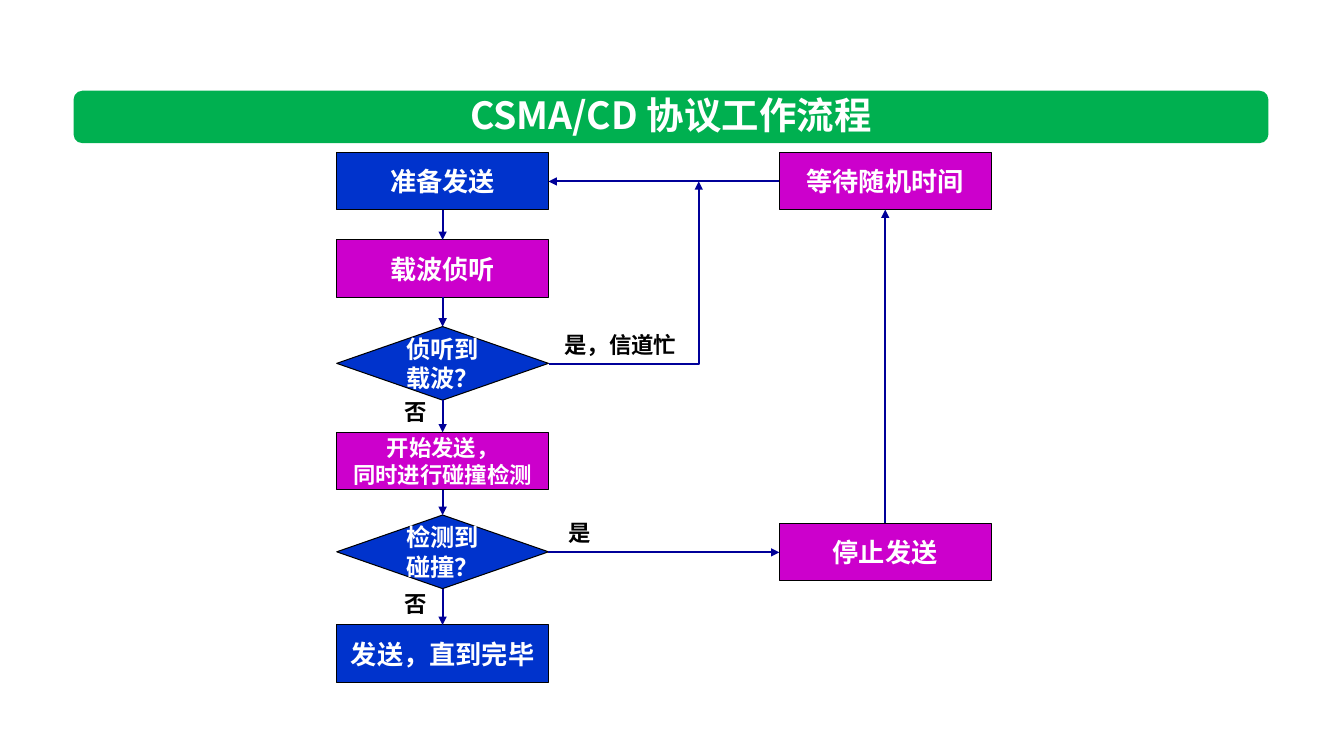
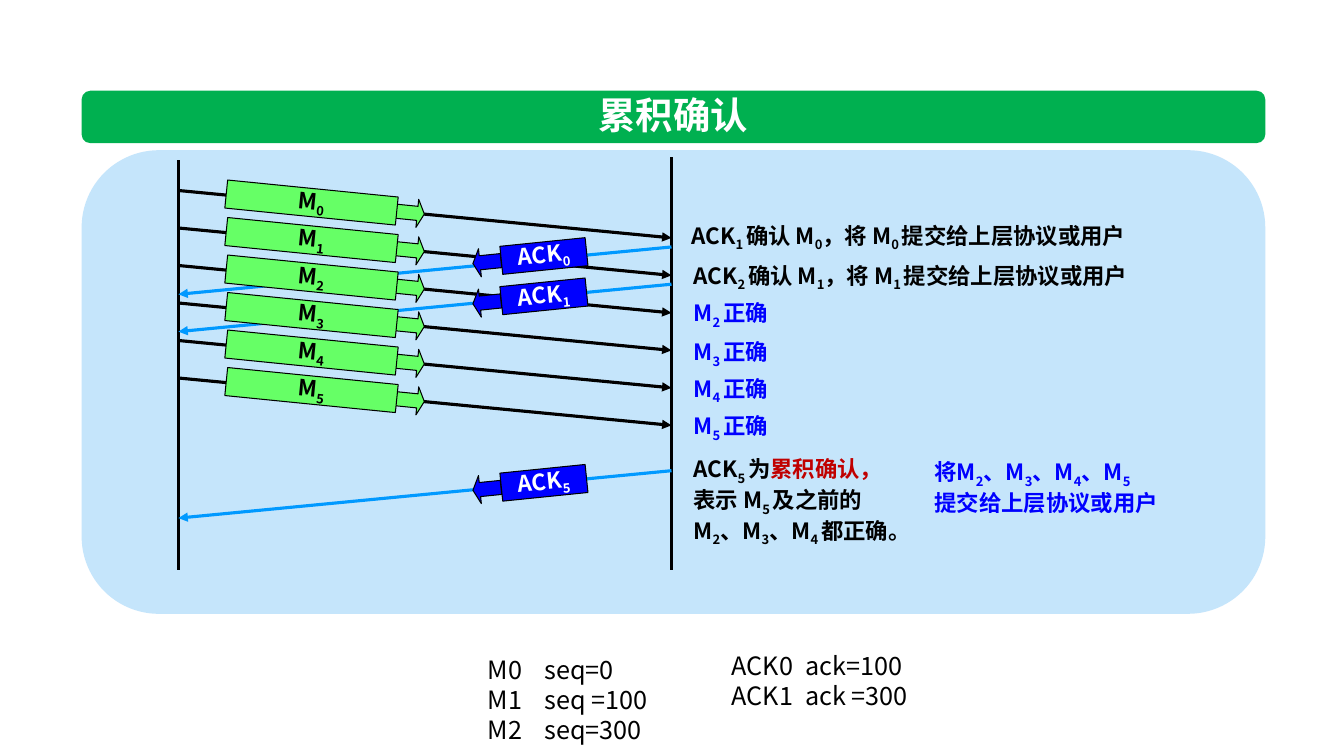
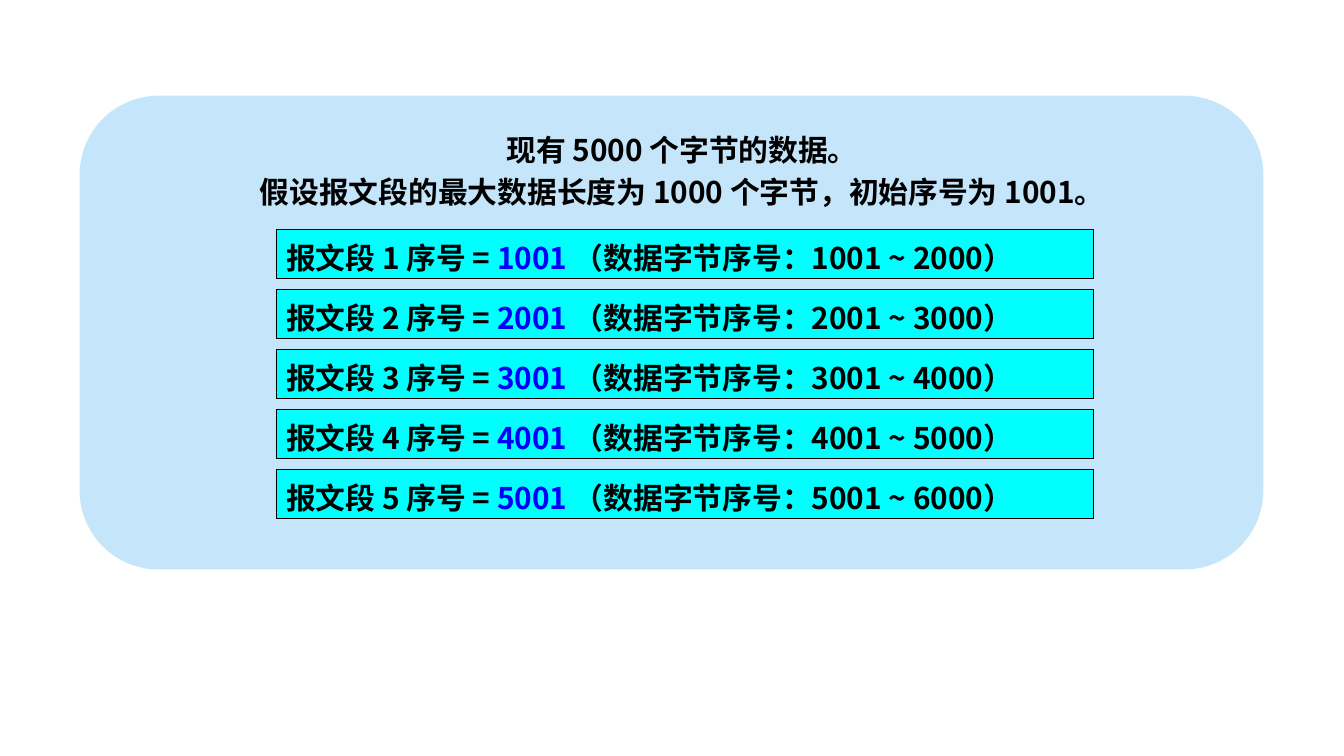
import dataclasses
import typing

import pptx
import pptx.dml.color
import pptx.enum.shapes
import pptx.enum.text
import pptx.oxml.ns
import pptx.oxml.xmlchemy
import pptx.shapes.autoshape
import pptx.shapes.connector
import pptx.slide
import pptx.text.text
import pptx.util
import lxml.etree

Inches = pptx.util.Inches
SHAPE = pptx.enum.shapes.MSO_SHAPE
CONNECTOR = pptx.enum.shapes.MSO_CONNECTOR
ALIGN = pptx.enum.text.PP_ALIGN
ANCHOR = pptx.enum.text.MSO_ANCHOR
qn = pptx.oxml.ns.qn

FONT = "Noto Sans CJK SC"
WHITE, BLACK = "FFFFFF", "000000"
GREEN, PANEL = "00B050", "C5E5FB"
BLUE, PURPLE, NAVY = "0033CC", "CC00CC", "000099"
LIME, PURE_BLUE, SKY = "66FF66", "0000FF", "0099FF"
CYAN, RED = "00FFFF", "C00000"


class Box(typing.NamedTuple):
    left: float
    top: float
    width: float
    height: float

    def lengths(self) -> list[pptx.util.Length]:
        return [Inches(value) for value in self]


class Span(typing.NamedTuple):
    text: str
    color: str


@dataclasses.dataclass(frozen=True)
class Style:
    size: float = 16
    color: str = BLACK
    bold: bool = True
    align: ALIGN = ALIGN.LEFT
    line_points: float | None = None
    tab: float | None = None


class Step(typing.NamedTuple):
    kind: SHAPE
    box: Box
    fill: str
    lines: list[str]
    size: float


class Packet(typing.NamedTuple):
    is_ack: bool
    number: int
    top: float
    lift: float = 0


Paragraph = str | list[Span]

TITLE = Style(26.7, WHITE, align=ALIGN.CENTER)
LABEL = Style()
NOTE = Style(color=PURE_BLUE)
SEGMENT = Style(21.3, line_points=29.3)


def rgb(color: str) -> pptx.dml.color.RGBColor:
    return pptx.dml.color.RGBColor.from_string(color)


def add_run(p: pptx.text.text._Paragraph, text: str, color: str, style: Style, subscript: bool) -> None:
    r = p.add_run()
    r.text = text
    r.font.size = pptx.util.Pt(style.size)
    r.font.bold = style.bold
    r.font.color.rgb = rgb(color)
    r.font.name = FONT
    props = r._r.get_or_add_rPr()
    lxml.etree.SubElement(props, qn("a:ea")).set("typeface", FONT)
    if subscript:
        props.set("baseline", "-25000")


def write(tf: pptx.text.text.TextFrame, paragraphs: list[Paragraph], style: Style) -> None:
    for index, paragraph in enumerate(paragraphs):
        p = tf.add_paragraph() if index else tf.paragraphs[0]
        p.alignment = style.align
        if style.line_points:
            p.line_spacing = pptx.util.Pt(style.line_points)
        if style.tab:
            tabs = lxml.etree.SubElement(p._p.get_or_add_pPr(), qn("a:tabLst"))
            tab = lxml.etree.SubElement(tabs, qn("a:tab"))
            tab.set("pos", str(Inches(style.tab)))
            tab.set("algn", "l")
        spans = [Span(paragraph, style.color)] if isinstance(paragraph, str) else paragraph
        for span in spans:
            for part, text in enumerate(span.text.replace("]", "[").split("[")):
                if text:
                    add_run(p, text, span.color, style, part % 2 == 1)


def add_text(s: pptx.slide.Slide, box: Box, paragraphs: list[Paragraph], style: Style, wrap: bool = False) -> None:
    tf = s.shapes.add_textbox(*box.lengths()).text_frame
    tf.word_wrap = wrap
    tf.auto_size = pptx.enum.text.MSO_AUTO_SIZE.SHAPE_TO_FIT_TEXT
    write(tf, paragraphs, style)


def add_shape(
    s: pptx.slide.Slide, kind: SHAPE, box: Box, fill: str, outlined: bool = True, rotation: float = 0
) -> pptx.shapes.autoshape.Shape:
    sp = s.shapes.add_shape(kind, *box.lengths())
    sp.shadow.inherit = False
    sp.rotation = rotation
    sp.fill.solid()
    sp.fill.fore_color.rgb = rgb(fill)
    if outlined:
        sp.line.color.rgb = rgb(BLACK)
        sp.line.width = pptx.util.Pt(0.75)
    else:
        sp.line.fill.background()
    return sp


def add_line(
    s: pptx.slide.Slide,
    start: tuple[float, float],
    end: tuple[float, float],
    color: str,
    points: float,
    arrow: bool = True,
    kind: CONNECTOR = CONNECTOR.STRAIGHT,
) -> pptx.shapes.connector.Connector:
    line = s.shapes.add_connector(kind, *(Inches(value) for value in start + end))
    line.line.color.rgb = rgb(color)
    line.line.width = pptx.util.Pt(points)
    props = line._element.spPr
    if arrow:
        lxml.etree.SubElement(props.find(qn("a:ln")), qn("a:tailEnd")).set("type", "triangle")
    lxml.etree.SubElement(props, qn("a:effectLst"))
    return line


def add_title(s: pptx.slide.Slide, text: str, left: float, width: float, text_width: float) -> None:
    add_shape(s, SHAPE.ROUNDED_RECTANGLE, Box(left, 0.9, width, 0.52), GREEN, outlined=False)
    text_left = left + (width - text_width) / 2
    add_text(s, Box(text_left, 0.86, text_width, 0.55), [text], TITLE)


def add_panel(s: pptx.slide.Slide, box: Box) -> None:
    add_shape(s, SHAPE.ROUNDED_RECTANGLE, box, PANEL, outlined=False)


def build_flowchart(s: pptx.slide.Slide) -> None:
    add_title(s, "CSMA/CD 协议工作流程", 0.73, 11.85, 4.42)

    left, right, width, tall, short = 3.34, 7.73, 2.1, 0.73, 0.57
    main_flow = [
        Step(SHAPE.RECTANGLE, Box(left, 1.51, width, short), BLUE, ["准备发送"], 18.7),
        Step(SHAPE.RECTANGLE, Box(left, 2.38, width, short), PURPLE, ["载波侦听"], 18.7),
        Step(SHAPE.DIAMOND, Box(left, 3.24, width, tall), BLUE, ["侦听到载波？"], 17.3),
        Step(SHAPE.RECTANGLE, Box(left, 4.29, width, short), PURPLE, ["开始发送，", "同时进行碰撞检测"], 16),
        Step(SHAPE.DIAMOND, Box(left, 5.11, width, tall), BLUE, ["检测到碰撞？"], 17.3),
        Step(SHAPE.RECTANGLE, Box(left, 6.2, width, short), BLUE, ["发送，直到完毕"], 18.7),
    ]
    retry_flow = [
        Step(SHAPE.RECTANGLE, Box(right, 5.19, width, short), PURPLE, ["停止发送"], 18.7),
        Step(SHAPE.RECTANGLE, Box(right, 1.51, width, short), PURPLE, ["等待随机时间"], 18.7),
    ]
    for step in main_flow + retry_flow:
        sp = add_shape(s, step.kind, step.box, step.fill)
        sp.text_frame.word_wrap = True
        sp.text_frame.vertical_anchor = ANCHOR.MIDDLE
        write(sp.text_frame, step.lines, Style(step.size, WHITE, align=ALIGN.CENTER))

    middle = left + width / 2
    for upper, lower in zip(main_flow, main_flow[1:]):
        add_line(s, (middle, upper.box.top + upper.box.height), (middle, lower.box.top), NAVY, 1.5)
    edge, retry_middle = left + width, right + width / 2
    add_line(s, (edge, 5.48), (right, 5.48), NAVY, 1.5)
    add_line(s, (retry_middle, 5.19), (retry_middle, 2.08), NAVY, 1.5)
    add_line(s, (right, 1.8), (edge, 1.8), NAVY, 1.5)
    busy = add_line(s, (edge, 3.61), (6.93, 1.8), NAVY, 1.5, kind=CONNECTOR.ELBOW)
    busy._element.spPr.find(qn("a:prstGeom")).set("prst", "bentConnector2")

    answers = [("是，信道忙", 5.5, 3.24, 1.32), ("是", 5.54, 5.1, 0.43), ("否", 3.91, 5.81, 0.43), ("否", 3.91, 3.9, 0.43)]
    for text, x, y, text_width in answers:
        add_text(s, Box(x, y, text_width, 0.37), [text], LABEL)


def add_packet(s: pptx.slide.Slide, packet: Packet, sender: float, receiver: float) -> None:
    y, drop = packet.top, 0.47
    if packet.is_ack:
        add_line(s, (receiver, y), (sender, y + drop), SKY, 2.25)
        body, head = Box(4.97, y - 0.02 - packet.lift, 0.85, 0.28), Box(4.69, y + 0.04 - packet.lift, 0.28, 0.28)
        kind, fill, color, rotation, name = SHAPE.LEFT_ARROW, PURE_BLUE, WHITE, -5.8, "ACK"
    else:
        add_line(s, (sender, y), (receiver, y + drop), BLACK, 2.25)
        body, head = Box(2.24, y - 0.02, 1.7, 0.28), Box(3.93, y + 0.08, 0.28, 0.28)
        kind, fill, color, rotation, name = SHAPE.RIGHT_ARROW, LIME, BLACK, 5.7, "M"
    arrow = add_shape(s, kind, head, fill, rotation=rotation)
    arrow.adjustments[1] = 0.25
    tf = add_shape(s, SHAPE.RECTANGLE, body, fill, rotation=rotation).text_frame
    tf.word_wrap = False
    tf.vertical_anchor = ANCHOR.MIDDLE
    write(tf, [f"{name}[{packet.number}]"], Style(color=color, align=ALIGN.CENTER))


def build_acknowledgement(s: pptx.slide.Slide) -> None:
    add_panel(s, Box(0.81, 1.49, 11.74, 4.6))
    add_title(s, "累积确认", 0.81, 11.74, 1.7)

    sender, receiver = 1.77, 6.66
    messages = [Packet(False, i, 1.89 + 1.86 * i / 5) for i in range(6)]
    ack0, ack1, ack5 = Packet(True, 0, 2.45, 0.03), Packet(True, 1, 2.82), Packet(True, 5, 4.67)
    add_line(s, (receiver, 1.56), (receiver, 5.65), BLACK, 2.25, arrow=False)
    add_line(s, (sender, 1.59), (sender, 5.65), BLACK, 2.25, arrow=False)
    for packet in [*messages[:2], *messages[4:], ack0, ack5, messages[2], ack1, messages[3]]:
        add_packet(s, packet, sender, receiver)

    for number, box in enumerate([Box(6.76, 2.15, 5.79, 0.37), Box(6.78, 2.55, 5.47, 0.37)]):
        text = f"ACK[{number + 1} ]确认 M[{number}]，将 M[{number} ]提交给上层协议或用户"
        add_text(s, box, [text], LABEL, wrap=True)
    for number, top in enumerate([2.92, 3.31, 3.67, 4.04], start=2):
        add_text(s, Box(6.78, top, 1.04, 0.37), [f"M[{number} ]正确"], NOTE)
    cumulative = [
        [Span("ACK[5 ]为", BLACK), Span("累积确认，", RED)],
        "表示 M[5 ]及之前的",
        "M[2]、M[3]、M[4 ]都正确。",
    ]
    add_text(s, Box(6.78, 4.47, 2.59, 0.91), cumulative, LABEL)
    delivery = ["将M[2]、M[3]、M[4]、M[5]", "提交给上层协议或用户"]
    add_text(s, Box(9.17, 4.5, 2.85, 0.64), delivery, NOTE, wrap=True)

    acks = ["ACK0\tack=100", "ACK1\tack =300"]
    add_text(s, Box(7.16, 6.4, 2.01, 0.71), acks, Style(18, bold=False, tab=0.73), wrap=True)
    sequences = ["M0\tseq=0", "M1\tseq =100", "M2\tseq=300"]
    add_text(s, Box(4.74, 6.44, 2.01, 1.01), sequences, Style(18, bold=False, tab=0.56), wrap=True)


def build_segments(s: pptx.slide.Slide) -> None:
    add_panel(s, Box(0.79, 0.95, 11.74, 4.7))
    intro = ["现有 5000 个字节的数据。", "假设报文段的最大数据长度为 1000 个字节，初始序号为 1001。"]
    add_text(s, Box(2.07, 1.21, 9.39, 0.88), intro, dataclasses.replace(SEGMENT, align=ALIGN.CENTER), wrap=True)

    for i in range(5):
        first = 1000 * (i + 1) + 1
        sp = add_shape(s, SHAPE.RECTANGLE, Box(2.74, 2.28 + 2.38 * i / 4, 8.11, 0.48), CYAN)
        sp.text_frame.word_wrap = True
        sp.text_frame.vertical_anchor = ANCHOR.TOP
        spans = [
            Span(f"报文段 {i + 1} 序号 = ", BLACK),
            Span(f"{first} ", PURE_BLUE),
            Span(f"（数据字节序号：{first} ~ {first + 999}）", BLACK),
        ]
        write(sp.text_frame, [spans], SEGMENT)


def main() -> None:
    prs = pptx.Presentation()
    prs.slide_width, prs.slide_height = Inches(13.33), Inches(7.5)
    for build in (build_flowchart, build_acknowledgement, build_segments):
        build(prs.slides.add_slide(prs.slide_layouts[6]))
    prs.save("out.pptx")


if __name__ == "__main__":
    main()
